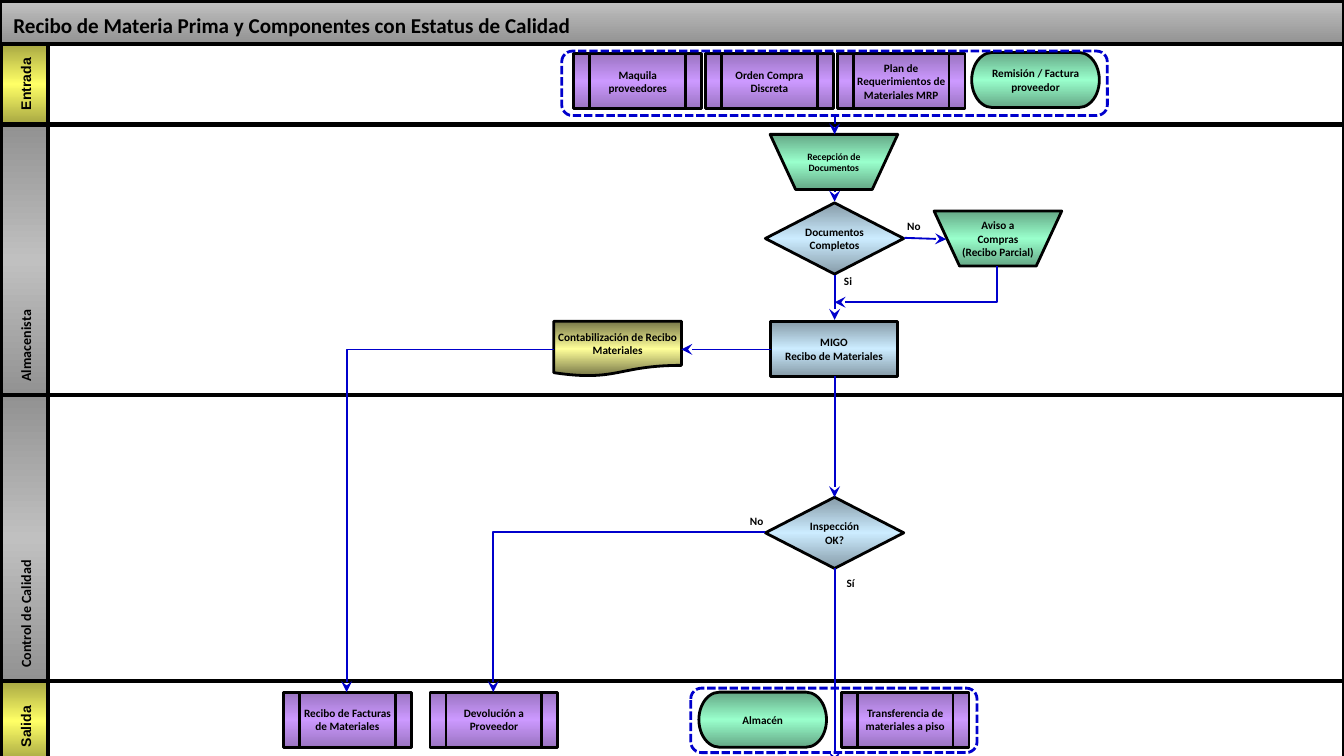
from lxml.etree import SubElement
from pptx import Presentation
from pptx.dml.color import RGBColor
from pptx.enum.dml import MSO_LINE
from pptx.enum.shapes import MSO_CONNECTOR, MSO_SHAPE
from pptx.enum.text import MSO_ANCHOR, MSO_AUTO_SIZE, PP_ALIGN
from pptx.oxml.ns import qn
from pptx.util import Inches, Pt

SLIDE_W = 10
SLIDE_H = SLIDE_W * 9 / 16

BLACK = RGBColor(0x00, 0x00, 0x00)
WHITE = RGBColor(0xFF, 0xFF, 0xFF)
PAPER = RGBColor(0xF2, 0xF2, 0xF2)
BLUE = RGBColor(0x00, 0x00, 0xCC)
SILVER = RGBColor(0xC0, 0xC0, 0xC0)
GRAY = RGBColor(0x92, 0x92, 0x92)

# Gradients: edge, middle, edge
GRAY_BAND = (GRAY, SILVER, GRAY)
YELLOW_BAND = (RGBColor(0xA8, 0xA8, 0x43), RGBColor(0xFF, 0xFF, 0x66), RGBColor(0xA8, 0xA8, 0x43))
PURPLE = (RGBColor(0x9A, 0x74, 0xC1), RGBColor(0xCC, 0x99, 0xFF), RGBColor(0x9A, 0x74, 0xC1))
GREEN = (RGBColor(0x65, 0xA8, 0x86), RGBColor(0x99, 0xFF, 0xCC), RGBColor(0x65, 0xA8, 0x86))
STEEL = (RGBColor(0x86, 0x9B, 0xA8), RGBColor(0xCC, 0xEC, 0xFF), RGBColor(0x86, 0x9B, 0xA8))
OLIVE = (RGBColor(0x76, 0x76, 0x47), RGBColor(0xFF, 0xFF, 0x99), RGBColor(0x76, 0x76, 0x47))

PROCESS = MSO_SHAPE.FLOWCHART_PREDEFINED_PROCESS
TERMINATOR = MSO_SHAPE.FLOWCHART_TERMINATOR
MANUAL = MSO_SHAPE.FLOWCHART_MANUAL_OPERATION
DOCUMENT = MSO_SHAPE.FLOWCHART_DOCUMENT
DECISION = MSO_SHAPE.DIAMOND

NODE_W, NODE_H = 0.95, 0.41
DECISION_W, DECISION_H = 1.03, 0.53
AXIS_X = 6.21  # centre of the main flow
OUTPUT_Y = 5.15

LANES = [  # name, top, height, band, font
    ("Salida", 5.07, 0.59, YELLOW_BAND, "Arial"),
    ("Entrada", 0.33, 0.59, YELLOW_BAND, "Arial"),
    ("Control de Calidad", 2.94, 2.13, GRAY_BAND, "Calibri"),
    ("Almacenista", 0.93, 2.01, GRAY_BAND, "Calibri"),
]

NODES = [  # kind, left, top, colours, paragraphs
    (PROCESS, 4.27, 0.4, PURPLE, ["Maquila proveedores"]),
    (PROCESS, 5.25, 0.4, PURPLE, ["Orden Compra Discreta"]),
    (PROCESS, 6.23, 0.4, PURPLE, ["Plan de Requerimientos de Materiales MRP"]),
    (TERMINATOR, 7.23, 0.39, GREEN, ["Remisión / Factura proveedor"]),
    (MANUAL, 6.95, 1.57, GREEN, ["Aviso a Compras", "(Recibo Parcial)"]),
    (MSO_SHAPE.RECTANGLE, 5.73, 2.39, STEEL, ["MIGO", "Recibo de Materiales"]),
    (DOCUMENT, 4.12, 2.39, OLIVE, ["Contabilización de Recibo Materiales"]),
    (PROCESS, 2.11, OUTPUT_Y, PURPLE, ["Recibo de Facturas de Materiales"]),
    (PROCESS, 3.2, OUTPUT_Y, PURPLE, ["Devolución a Proveedor"]),
    (TERMINATOR, 5.2, OUTPUT_Y, GREEN, ["Almacén"]),
    (PROCESS, 6.26, OUTPUT_Y, PURPLE, ["Transferencia de materiales a piso"]),
]

DECISIONS = [(1.51, "Documentos Completos"), (3.7, "Inspección OK?")]

GROUPS = [(4.18, 0.38, 4.06, 0.48), (5.14, 5.12, 2.13, 0.48)]

LABELS = [("No", 6.75, 1.63), ("Si", 6.28, 2.04), ("No", 5.58, 3.83), ("Sí", 6.3, 4.29)]

ARROWS = [
    ((AXIS_X, 0.86), (AXIS_X, 1)),
    ((AXIS_X, 1.42), (AXIS_X, 1.5)),
    ((AXIS_X, 2.05), (AXIS_X, 2.38)),
    ((AXIS_X, 2.8), (AXIS_X, 3.7)),
    ((AXIS_X, 4.23), (AXIS_X, 5.68)),
    ((6.73, 1.77), (7.04, 1.78)),
    ((5.74, 2.6), (5.07, 2.6)),
]

ELBOWS = [  # start, end, end that carries the arrowhead
    ((4.12, 2.6), (2.58, OUTPUT_Y), "a:tailEnd"),
    ((5.69, 3.96), (3.67, OUTPUT_Y), "a:tailEnd"),
    ((AXIS_X, 2.25), (7.42, 1.98), "a:headEnd"),
]


def set_gradient(sp, colors):
    """Fill from top to bottom with evenly spaced colours."""
    sp.fill.gradient()
    sp.fill.gradient_angle = 270
    stops = sp._element.spPr.find(qn("a:gradFill")).find(qn("a:gsLst"))
    for old in list(stops):
        stops.remove(old)
    for i, color in enumerate(colors):
        gs = SubElement(stops, qn("a:gs"), pos=str(100000 * i // (len(colors) - 1)))
        SubElement(gs, qn("a:srgbClr"), val=str(color))


def set_outline(sp, color, width):
    sp.line.color.rgb = color
    sp.line.width = Pt(width)


def set_text(sp, paragraphs, size, font="Calibri", align=PP_ALIGN.CENTER, margin=0.01):
    tf = sp.text_frame
    tf.margin_left = tf.margin_right = tf.margin_top = tf.margin_bottom = Inches(margin)
    for i, text in enumerate(paragraphs):
        p = tf.add_paragraph() if i else tf.paragraphs[0]
        p.alignment = align
        r = p.add_run()
        r.text = text
        r.font.name = font
        r.font.size = Pt(size)
        r.font.bold = True
        r.font.color.rgb = BLACK
    return tf


def add_box(s, kind, left, top, width, height):
    sp = s.shapes.add_shape(kind, Inches(left), Inches(top), Inches(width), Inches(height))
    sp.shadow.inherit = False
    return sp


def add_title(s, text):
    sp = s.shapes.title
    sp.left, sp.top, sp.width, sp.height = Inches(0), Inches(0.01), Inches(SLIDE_W), Inches(0.32)
    set_gradient(sp, (SILVER, GRAY))
    set_outline(sp, BLACK, 2)
    tf = set_text(sp, [text], 11.25, align=PP_ALIGN.LEFT, margin=0)
    tf.margin_left, tf.margin_top = Inches(0.1), Inches(0.04)
    tf.auto_size = MSO_AUTO_SIZE.NONE
    tf.vertical_anchor = MSO_ANCHOR.MIDDLE


def add_lane(s, name, top, height, band, font):
    body = add_box(s, MSO_SHAPE.RECTANGLE, 0, top, SLIDE_W, height)
    body.fill.solid()
    body.fill.fore_color.rgb = WHITE
    set_outline(body, BLACK, 2)
    header = add_box(s, MSO_SHAPE.RECTANGLE, 0.01, top, 0.35, height)
    set_gradient(header, band)
    set_outline(header, BLACK, 2)
    tf = set_text(header, [name], 7.5, font, PP_ALIGN.LEFT)
    tf.margin_bottom = Inches(0.1)
    tf.margin_left = Inches(0.02)
    tf.word_wrap = False
    tf._txBody.bodyPr.set("vert", "vert270")


def add_node(s, kind, left, top, colors, paragraphs, width=NODE_W, height=NODE_H, size=6):
    sp = add_box(s, kind, left, top, width, height)
    set_gradient(sp, colors)
    set_outline(sp, BLACK, 1.5)
    set_text(sp, paragraphs, size)


def add_group_frame(s, left, top, width, height):
    sp = add_box(s, MSO_SHAPE.FLOWCHART_ALTERNATE_PROCESS, left, top, width, height)
    sp.fill.background()
    set_outline(sp, BLUE, 1.5)
    sp.line.dash_style = MSO_LINE.SQUARE_DOT


def add_label(s, text, left, top):
    sp = s.shapes.add_textbox(Inches(left), Inches(top), Inches(0.1), Inches(0.1))
    set_text(sp, [text], 6, align=PP_ALIGN.LEFT, margin=0).word_wrap = False


def add_arrow(s, start, end, head="a:tailEnd", kind=MSO_CONNECTOR.STRAIGHT):
    cx = s.shapes.add_connector(kind, *(Inches(v) for v in start + end))
    set_outline(cx, BLUE, 1)
    SubElement(cx.line._get_or_add_ln(), qn(head), type="stealth")
    SubElement(cx._element.spPr, qn("a:effectLst"))
    return cx


def add_elbow(s, start, end, head):
    """Run horizontally from start, then turn once towards end."""
    cx = add_arrow(s, start, end, head, MSO_CONNECTOR.ELBOW)
    cx._element.spPr.find(qn("a:prstGeom")).set("prst", "bentConnector2")


def main():
    prs = Presentation()
    prs.slide_width, prs.slide_height = Inches(SLIDE_W), Inches(SLIDE_H)
    s = prs.slides.add_slide(prs.slide_layouts[5])
    s.background.fill.solid()
    s.background.fill.fore_color.rgb = PAPER

    add_title(s, "Recibo de Materia Prima y Componentes con Estatus de Calidad")
    for lane in LANES:
        add_lane(s, *lane)
    for node in NODES:
        add_node(s, *node)
    add_node(s, MANUAL, 5.73, 1, GREEN, ["Recepción de Documentos"], size=5.2)
    for top, text in DECISIONS:
        add_node(s, DECISION, AXIS_X - DECISION_W / 2, top, STEEL, [text], DECISION_W, DECISION_H)
    for frame in GROUPS:
        add_group_frame(s, *frame)
    for arrow in ARROWS:
        add_arrow(s, *arrow)
    for elbow in ELBOWS:
        add_elbow(s, *elbow)
    for label in LABELS:
        add_label(s, *label)
    prs.save("out.pptx")


if __name__ == "__main__":
    main()
